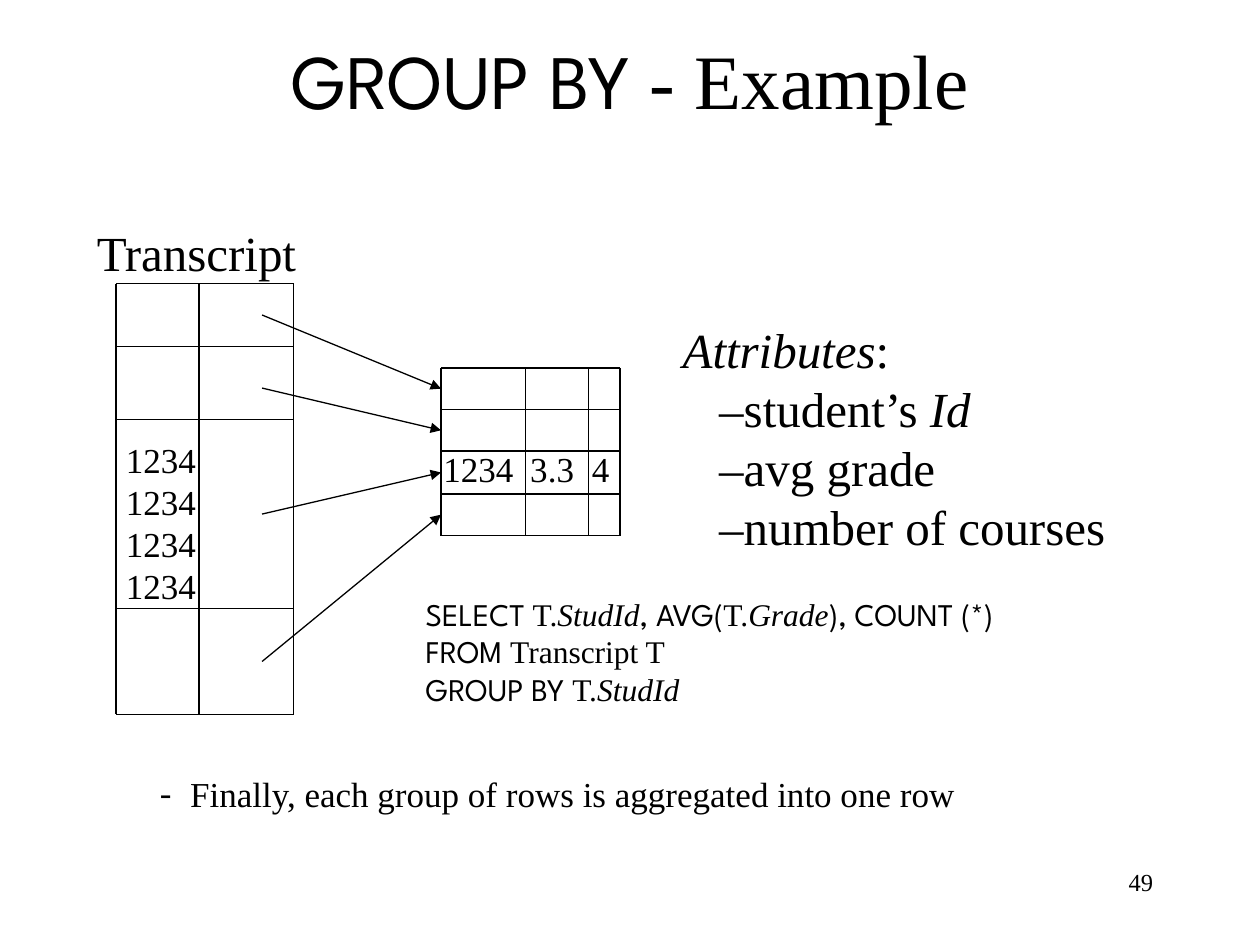
from typing import NamedTuple

from lxml import etree
from pptx import Presentation
from pptx import util as u
from pptx.dml.color import RGBColor
from pptx.enum import shapes, text
from pptx.oxml.ns import qn

COLORS = {"ink": "000000", "paper": "FFFFFF"}
SERIF = "Times New Roman"
SANS = "League Spartan"


class Run(NamedTuple):
    text: str
    font: str = SERIF
    italic: bool = False


class Para(NamedTuple):
    runs: list[Run]
    margin: float = 0
    bullet: str = ""
    tabs: tuple[float, ...] = ()


class Box(NamedTuple):
    left: float
    top: float
    width: float
    height: float
    size: int
    paras: list[Para]
    align: text.PP_ALIGN = text.PP_ALIGN.LEFT
    anchor: text.MSO_ANCHOR = text.MSO_ANCHOR.TOP


class Grid(NamedTuple):
    xs: list[float]
    ys: list[float]


def plain(words: str, **layout) -> Para:
    return Para([Run(words)], **layout)


def add_line(s, x1: float, y1: float, x2: float, y2: float, arrow: bool = False) -> None:
    ends = [u.Inches(v) for v in (x1, y1, x2, y2)]
    line = s.shapes.add_connector(shapes.MSO_CONNECTOR.STRAIGHT, *ends)
    line.line.color.rgb = RGBColor.from_string(COLORS["ink"])
    line.line.width = u.Pt(0.75)
    if arrow:
        etree.SubElement(line.line._get_or_add_ln(), qn("a:tailEnd"), type="triangle")
    etree.SubElement(line._element.spPr, qn("a:effectLst"))


def add_grid(s, grid: Grid) -> None:
    for x in grid.xs:
        add_line(s, x, grid.ys[0], x, grid.ys[-1])
    for y in grid.ys:
        add_line(s, grid.xs[0], y, grid.xs[-1], y)


def format_para(p, para: Para) -> None:
    pPr = p._p.get_or_add_pPr()
    if para.margin:
        pPr.set("marL", str(u.Inches(para.margin)))
    if para.bullet:
        pPr.set("indent", str(-u.Inches(para.margin)))
        etree.SubElement(pPr, qn("a:buFont"), typeface=SERIF)
        etree.SubElement(pPr, qn("a:buChar"), char=para.bullet)
    if para.tabs:
        tab_list = etree.SubElement(pPr, qn("a:tabLst"))
        for tab in para.tabs:
            etree.SubElement(tab_list, qn("a:tab"), pos=str(u.Inches(tab)), algn="l")


def add_box(s, box: Box) -> None:
    sp = s.shapes.add_textbox(*[u.Inches(v) for v in box[:4]])
    tf = sp.text_frame
    for name, value in {"word_wrap": True, "vertical_anchor": box.anchor}.items():
        setattr(tf, name, value)
    for i, para in enumerate(box.paras):
        p = tf.paragraphs[0] if i == 0 else tf.add_paragraph()
        p.alignment = box.align
        format_para(p, para)
        for run in para.runs:
            r = p.add_run()
            r.text = run.text
            style = {"name": run.font, "size": u.Pt(box.size), "italic": run.italic}
            for name, value in style.items():
                setattr(r.font, name, value)
            r.font.color.rgb = RGBColor.from_string(COLORS["ink"])


TRANSCRIPT = Grid([0.92, 1.58, 2.33], [2.25, 2.75, 3.33, 4.83, 5.67])
RESULT = Grid([3.5, 4.17, 4.67, 4.92], [2.92, 3.25, 3.58, 3.92, 4.25])
ARROW_X = 2.08
ARROW_STARTS = [2.5, 3.08, 4.08, 5.25]
INDENT = 0.29

QUERY = [
    Para([
        Run("SELECT ", SANS), Run("T."), Run("StudId", italic=True),
        Run(", AVG(", SANS), Run("T."), Run("Grade", italic=True),
        Run("), COUNT (*)", SANS),
    ]),
    Para([Run("FROM ", SANS), Run("Transcript T")]),
    Para([Run("GROUP BY ", SANS), Run("T."), Run("StudId", italic=True)]),
]
ATTRIBUTES = [
    Para([Run("Attributes", italic=True), Run(":")]),
    Para([Run("–student’s "), Run("Id", italic=True)], INDENT),
    plain("–avg grade", margin=INDENT),
    plain("–number of courses", margin=INDENT),
]
BOXES = [
    Box(0.75, 0, 8.5, 1.25, 44, [Para([Run("GROUP BY", SANS), Run(" - Example")])],
        text.PP_ALIGN.CENTER, text.MSO_ANCHOR.MIDDLE),
    Box(0.67, 1.72, 2, 0.57, 28, [plain("Transcript")]),
    Box(0.9, 3.43, 0.85, 1.44, 20, [plain("1234")] * 4),
    Box(3.42, 3.5, 1.7, 0.44, 20, [plain("1234\t3.3\t4", tabs=(0.69, 1.18))]),
    Box(5.32, 2.49, 3.8, 1.97, 28, ATTRIBUTES),
    Box(3.28, 4.67, 5.88, 1, 18, QUERY),
    Box(1.17, 6.08, 7.58, 0.44, 20,
        [plain("Finally, each group of rows is aggregated into one row",
               margin=0.24, bullet="-")]),
    Box(7.17, 6.83, 2.08, 0.5, 14, [plain("49")], text.PP_ALIGN.RIGHT),
]


def main() -> None:
    prs = Presentation()
    prs.slide_width, prs.slide_height = u.Inches(10), u.Inches(7.5)
    s = prs.slides.add_slide(prs.slide_layouts[6])
    s.background.fill.solid()
    s.background.fill.fore_color.rgb = RGBColor.from_string(COLORS["paper"])
    for grid in (TRANSCRIPT, RESULT):
        add_grid(s, grid)
    for start, top, bottom in zip(ARROW_STARTS, RESULT.ys, RESULT.ys[1:]):
        add_line(s, ARROW_X, start, RESULT.xs[0], (top + bottom) / 2, arrow=True)
    for box in BOXES:
        add_box(s, box)
    prs.save("out.pptx")


if __name__ == "__main__":
    main()
